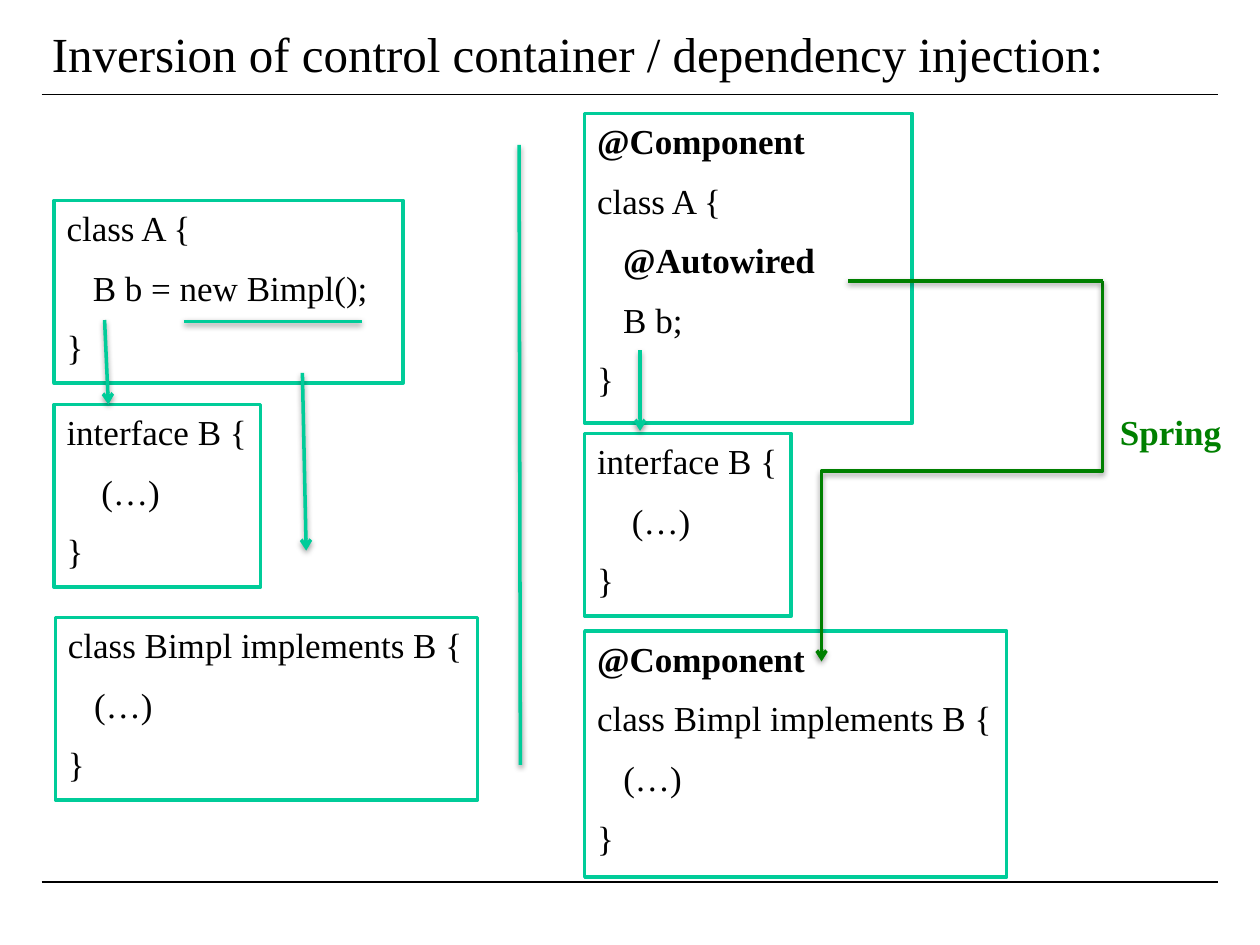
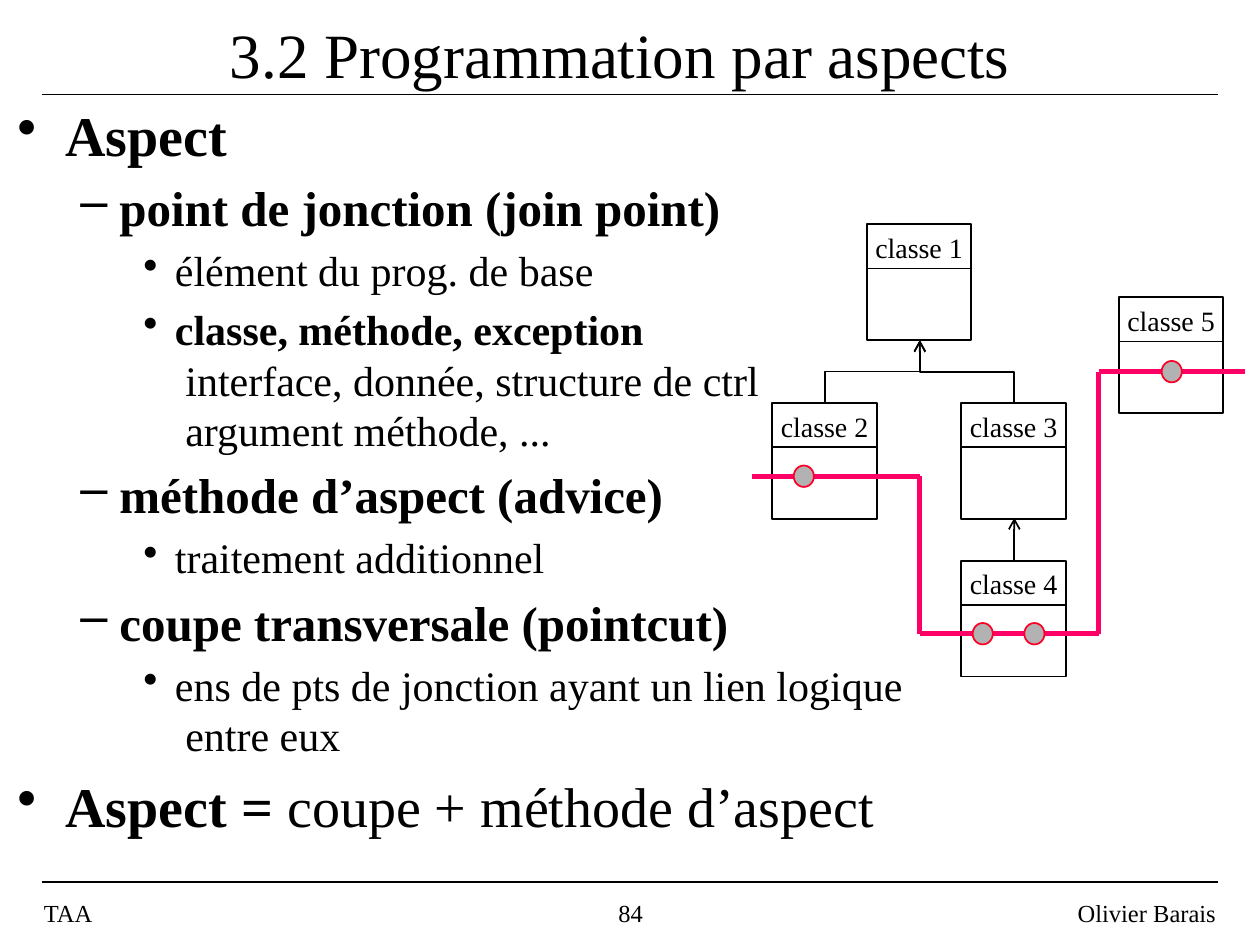
import pptx
import pptx.util
import pptx.dml.color
import pptx.enum.shapes
import pptx.enum.text
import pptx.oxml
import pptx.oxml.ns
from lxml import etree

Inches, Pt = pptx.util.Inches, pptx.util.Pt
RGB = pptx.dml.color.RGBColor
SHAPE = pptx.enum.shapes.MSO_SHAPE
LINK = pptx.enum.shapes.MSO_CONNECTOR
ALIGN = pptx.enum.text.PP_ALIGN
ANCHOR = pptx.enum.text.MSO_ANCHOR
qn = pptx.oxml.ns.qn

BLACK = RGB(0, 0, 0)
WHITE = RGB(255, 255, 255)
TEAL = RGB(0x00, 0xCC, 0x99)
GREEN = RGB(0x00, 0x80, 0x00)
PINK = RGB(0xFF, 0x00, 0x66)
RED = RGB(0xFC, 0x01, 0x28)
GRAY = RGB(0xB2, 0xB2, 0xB2)
FONT = "Times New Roman"

CLASS_W, CLASS_H, HEAD_H = 0.83, 0.92, 0.35
DOT_W, DOT_H = 0.16, 0.17


# Shared helpers
def style(para, size, color=BLACK, bold=False, align=ALIGN.LEFT):
    para.alignment = align
    para.line_spacing = Pt(size * 1.2)
    font = para.font
    font.name, font.size, font.bold = FONT, Pt(size), bold
    font.color.rgb = color


def setup(frame, left=0.1, right=0.1, anchor=ANCHOR.TOP):
    frame.word_wrap = True
    frame.auto_size = pptx.enum.text.MSO_AUTO_SIZE.NONE
    frame.vertical_anchor = anchor
    frame.margin_left, frame.margin_right = Inches(left), Inches(right)
    frame.margin_top = frame.margin_bottom = Inches(0.05)


def add_text(slide, box, text, size, color=BLACK, bold=False,
             align=ALIGN.LEFT, anchor=ANCHOR.TOP):
    frame = slide.shapes.add_textbox(*map(Inches, box)).text_frame
    setup(frame, anchor=anchor)
    frame.text = text
    style(frame.paragraphs[0], size, color, bold, align)


def add_shape(slide, kind, box, fill, color, width):
    shape = slide.shapes.add_shape(kind, *map(Inches, box))
    shape.shadow.inherit = False
    if fill is None:
        shape.fill.background()
    else:
        shape.fill.solid()
        shape.fill.fore_color.rgb = fill
    shape.line.color.rgb = color
    shape.line.width = Pt(width)
    return shape


def add_line(slide, start, end, color=BLACK, width=1, head=None,
             shadow=False, kind=LINK.STRAIGHT):
    line = slide.shapes.add_connector(kind, *map(Inches, (*start, *end)))
    line.line.color.rgb = color
    line.line.width = Pt(width)
    props = line._element.spPr
    if head:
        etree.SubElement(props.find(qn("a:ln")), qn("a:tailEnd"), type=head)
    effects = etree.SubElement(props, qn("a:effectLst"))
    if shadow:
        outer = etree.SubElement(effects, qn("a:outerShdw"), blurRad="40000",
                                 dist="20000", dir="5400000", rotWithShape="0")
        tone = etree.SubElement(outer, qn("a:srgbClr"), val="000000")
        etree.SubElement(tone, qn("a:alpha"), val="38000")
    return line


def add_elbow(slide, start, end, **look):
    """Bent line that leaves and arrives vertically: a quarter-turned elbow."""
    (x1, y1), (x2, y2) = start, end
    mid_x, mid_y = (x1 + x2) / 2, (y1 + y2) / 2
    half_x, half_y = (x2 - x1) / 2, (y2 - y1) / 2
    line = add_line(slide, (mid_x - half_y, mid_y + half_x),
                    (mid_x + half_y, mid_y - half_x), kind=LINK.ELBOW, **look)
    line._element.spPr.find(qn("a:xfrm")).set("rot", "5400000")


def new_slide(deck, title, box, size):
    slide = deck.slides.add_slide(deck.slide_layouts[5])
    for y in (0.75, 7):
        add_line(slide, (0.33, y), (9.67, y))
    head = slide.shapes.title
    head.left, head.top, head.width, head.height = map(Inches, box)
    setup(head.text_frame, anchor=ANCHOR.MIDDLE)
    head.text_frame.text = title
    style(head.text_frame.paragraphs[0], size, align=ALIGN.CENTER)
    return slide


def add_footer(slide, top, parts):
    for left, width, text, align in parts:
        add_text(slide, (left, top, width, 0.33), text, 14,
                 align=align, anchor=ANCHOR.MIDDLE)


# Slide 1: code boxes, annotations in bold
def code_box(slide, box, code):
    shape = add_shape(slide, SHAPE.RECTANGLE, box, WHITE, TEAL, 2)
    frame = shape.text_frame
    setup(frame, right=0)
    frame.text = code
    for i, para in enumerate(frame.paragraphs):
        style(para, 20, bold="@" in para.text)
        if i:
            para.space_before = Pt(10)


def code_slide(deck):
    slide = new_slide(
        deck, "Inversion of control container / dependency injection:",
        (0, 0.17, 9.17, 0.5), 28)
    face = "interface B {\n    (…)\n}"
    impl = "class Bimpl implements B {\n   (…)\n}"
    for box, code in (
        ((0.43, 1.59, 2.77, 1.45), "class A {\n   B b = new Bimpl();\n}"),
        ((0.43, 3.21, 1.64, 1.45), face),
        ((0.44, 4.9, 3.35, 1.45), impl),
        ((4.64, 0.9, 2.6, 2.46),
         "@Component\nclass A {\n   @Autowired\n   B b;\n}"),
        ((4.64, 3.44, 1.64, 1.45), face),
        ((4.64, 5.01, 3.35, 1.95), "@Component\n" + impl),
    ):
        code_box(slide, box, code)

    # Divider, underline and arrows
    for start, end, head in (
        ((4.12, 1.15), (4.13, 6.07), None),
        ((1.46, 2.55), (2.87, 2.55), None),
        ((2.4, 2.96), (2.43, 4.37), "arrow"),
        ((0.83, 2.54), (0.86, 3.21), "arrow"),
        ((5.08, 2.78), (5.08, 3.42), "arrow"),
    ):
        add_line(slide, start, end, TEAL, 2, head, shadow=True)

    # Injection path
    turn = (8.75, 2.23)
    add_elbow(slide, turn, (6.52, 5.25), color=GREEN, width=2,
              head="arrow", shadow=True)
    add_line(slide, turn, (6.73, 2.23), GREEN, 2, shadow=True)
    add_text(slide, (8.79, 3.21, 1.15, 0.44), "Spring", 20, GREEN, True)


# Slide 2: bullets beside a class diagram
LEVELS = ((32, 0.38, 0.38, "•"), (28, 0.81, 0.31, "–"), (24, 1.25, 0.25, "•"))
POINTS = (
    (0, "Aspect", ""),
    (1, "point de jonction (join point)", ""),
    (2, "", "élément du prog. de base"),
    (2, "classe, méthode, exception",
     "\n interface, donnée, structure de ctrl\n argument méthode, ..."),
    (1, "méthode d’aspect (advice)", ""),
    (2, "", "traitement additionnel"),
    (1, "coupe transversale (pointcut)", ""),
    (2, "", "ens de pts de jonction ayant un lien logique\n entre eux"),
    (0, "Aspect =", " coupe + méthode d’aspect"),
)


def add_bullets(slide, box):
    frame = slide.shapes.add_textbox(*map(Inches, box)).text_frame
    setup(frame)
    for i, (level, strong, plain) in enumerate(POINTS):
        para = frame.add_paragraph() if i else frame.paragraphs[0]
        size, indent, hang, mark = LEVELS[level]
        para.level = level
        props = para._p.get_or_add_pPr()
        props.set("marL", str(Inches(indent)))
        props.set("indent", str(-Inches(hang)))
        etree.SubElement(props, qn("a:buChar"), char=mark)
        style(para, size, bold=not plain)
        if i:
            para.space_before = Pt(size * 0.2)
        if strong:
            run = para.add_run()
            run.text = strong
            run.font.bold = True
        for j, text in enumerate(plain.split("\n")):
            if j:
                para.add_line_break()
            if text:
                para.add_run().text = text


def class_box(slide, x, y, name):
    shape = add_shape(slide, SHAPE.RECTANGLE, (x, y, CLASS_W, CLASS_H),
                      None, BLACK, 1)
    setup(shape.text_frame, 0, 0)
    shape.text_frame.text = name
    style(shape.text_frame.paragraphs[0], 16, align=ALIGN.CENTER)
    add_line(slide, (x, y + HEAD_H), (x + CLASS_W, y + HEAD_H))


def add_diagram(slide, left, top):
    def at(x, y):
        return left + x, top + y

    spots = ((0.75, 0), (0, 1.42), (1.5, 1.42), (1.5, 2.67), (2.75, 0.58))
    for i, spot in enumerate(spots, 1):
        class_box(slide, *at(*spot), f"classe {i}")

    # Inheritance
    for x in (1.92, 0.42):
        add_elbow(slide, at(x, 1.42), at(1.17, 0.92), head="arrow")
    add_line(slide, at(1.92, 2.67), at(1.92, 2.33), head="arrow")

    # Pointcut across the classes, with its join points
    cut = [at(*spot) for spot in ((-0.16, 2), (1.17, 2), (1.17, 3.25),
                                  (2.59, 3.25), (2.59, 1.17), (3.75, 1.17))]
    for start, end in zip(cut, cut[1:]):
        add_line(slide, start, end, PINK, 3)
    for x, y in ((0.25, 2), (1.67, 3.25), (2.08, 3.25), (3.17, 1.17)):
        x, y = at(x - DOT_W / 2, y - DOT_H / 2)
        add_shape(slide, SHAPE.OVAL, (x, y, DOT_W, DOT_H), GRAY, RED, 1)


def aspect_slide(deck):
    slide = new_slide(deck, "3.2 Programmation par aspects",
                      (0.67, 0.17, 8.5, 0.5), 36)
    add_footer(slide, 7.08, (
        (0.25, 2.08, "TAA", ALIGN.LEFT),
        (3.42, 3.17, "84", ALIGN.CENTER),
        (7.67, 2.08, "Olivier Barais", ALIGN.RIGHT),
    ))
    add_bullets(slide, (0.04, 0.75, 8.5, 4.5))
    add_diagram(slide, 6.13, 1.78)


def main():
    deck = pptx.Presentation()
    deck.slide_width, deck.slide_height = Inches(10), Inches(7.5)
    code_slide(deck)
    aspect_slide(deck)
    deck.save("out.pptx")


if __name__ == "__main__":
    main()
